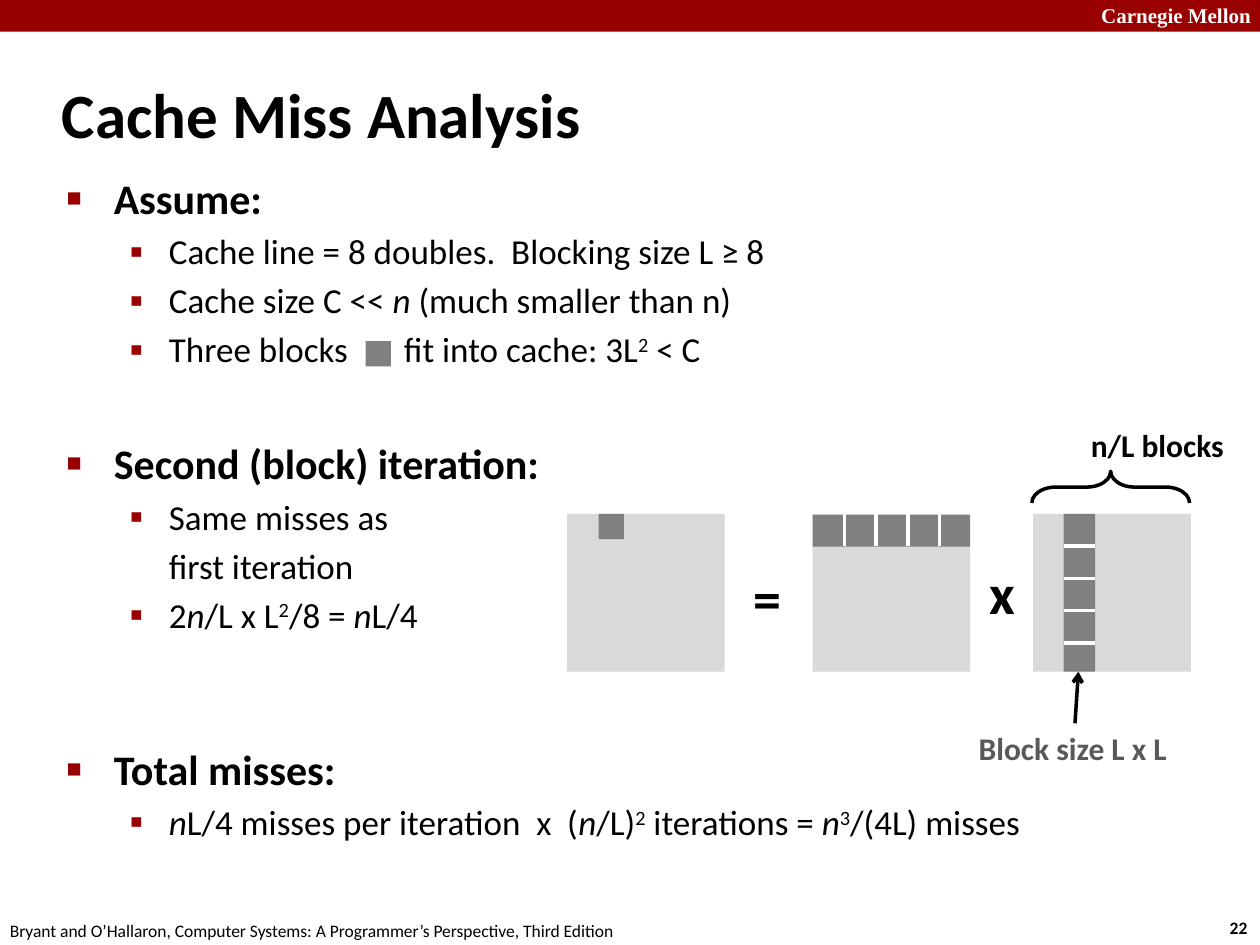
"""Build the cache miss analysis slide for blocked matrix multiplication."""
from dataclasses import dataclass

from lxml import etree
from pptx import Presentation
from pptx import util as u
from pptx.dml.color import RGBColor
from pptx.enum import shapes, text
from pptx.oxml.ns import qn

COLORS = {
    "black": "000000", "white": "FFFFFF", "crimson": "990000",
    "matrix": "D9D9D9", "block": "808080", "caption": "595959",
}
MATRIX_TOP, MATRIX_SIDE = 10.36, 3.18
RESULT_LEFT, ROWS_LEFT, COLUMNS_LEFT = 11.43, 16.38, 20.83
STRIP, SMALL_BLOCK, BLOCKS = 0.64, 0.51, 5
COLUMN_LEFT = 21.44


@dataclass(frozen=True)
class Box:
    left: float
    top: float
    width: float
    height: float

    def lengths(self) -> list:
        return [u.Cm(n) for n in (self.left, self.top, self.width, self.height)]


@dataclass(frozen=True)
class Label:
    wording: str
    box: Box
    size: float
    color: str = "black"
    bold: bool = True
    font: str = "Calibri"


@dataclass(frozen=True)
class Span:
    wording: str
    italic: bool = False
    raised: bool = False


@dataclass(frozen=True)
class Point:
    spans: tuple
    level: int = 1
    before: float = 4
    bullet: bool = True
    tab: float = 0


@dataclass(frozen=True)
class Level:
    bullet: str
    bullet_percent: int
    margin: float
    hanging: float
    size: int


N = Span("n", italic=True)
SQUARED = Span("2", raised=True)
LEVELS = (Level("■", 60, 0.95, 0.95, 24), Level("▪", 110, 2.06, 0.79, 20))
POINTS = (
    Point((Span("Assume:"),), 0, 0),
    Point((Span("Cache line = 8 doubles.  Blocking size L ≥ 8"),)),
    Point((Span("Cache size C << "), N, Span(" (much smaller than n)"))),
    Point((Span("Three blocks\tfit into cache: 3L"), SQUARED, Span(" < C")), tab=6.8),
    Point((Span("Second (block) iteration:"),), 0, 38.9),
    Point((Span("Same misses as"),)),
    Point((Span("first iteration"),), bullet=False),
    Point((Span("2"), N, Span("/L x L"), SQUARED, Span("/8 = "), N, Span("L/4"))),
    Point((Span("Total misses:"),), 0, 61.6),
    Point((N, Span("L/4 misses per iteration  x  ("), N, Span("/L)"), SQUARED,
           Span(" iterations = "), N, Span("3", raised=True), Span("/(4L) misses"))),
)
LABELS = (
    Label("Carnegie Mellon", Box(21.95, -0.08, 3.63, 0.76), 12, "white",
          font="Times New Roman"),
    Label("22", Box(24.54, 18.36, 0.94, 0.69), 10),
    Label("Bryant and O’Hallaron, Computer Systems: A Programmer’s Perspective, "
          "Third Edition", Box(-0.05, 18.42, 12.9, 0.69), 10, bold=False),
    Label("=", Box(14.94, 11.23, 1.09, 1.63), 32),
    Label("x", Box(19.69, 11.13, 1.04, 1.63), 32),
    Label("Block size L x L", Box(19.48, 14.58, 4.34, 1.02), 18, "caption"),
    Label("n/L blocks", Box(21.74, 8.46, 3.23, 1.02), 18),
)
FILLED = (
    (Box(0, 0, 25.4, 0.64), "crimson"),
    *((Box(left, MATRIX_TOP, MATRIX_SIDE, MATRIX_SIDE), "matrix")
      for left in (RESULT_LEFT, ROWS_LEFT, COLUMNS_LEFT)),
    (Box(RESULT_LEFT + STRIP, MATRIX_TOP, SMALL_BLOCK, SMALL_BLOCK), "block"),
    (Box(ROWS_LEFT, MATRIX_TOP + 0.02, MATRIX_SIDE, STRIP), "block"),
    (Box(COLUMN_LEFT, MATRIX_TOP, STRIP, MATRIX_SIDE), "block"),
    (Box(7.37, 6.88, SMALL_BLOCK, SMALL_BLOCK), "block"),
)


def rgb(name: str) -> RGBColor:
    return RGBColor.from_string(COLORS[name])


def style(font, size: float, color: str, bold: bool, name: str = "Calibri") -> None:
    font.name, font.size, font.bold = name, u.Pt(size), bold
    font.color.rgb = rgb(color)


def draw_filled(slide, box: Box, color: str) -> None:
    rectangle = slide.shapes.add_shape(shapes.MSO_SHAPE.RECTANGLE, *box.lengths())
    rectangle.shadow.inherit = False
    rectangle.fill.solid()
    rectangle.fill.fore_color.rgb = rgb(color)
    rectangle.line.fill.background()


def draw_label(slide, label: Label) -> None:
    frame = slide.shapes.add_textbox(*label.box.lengths()).text_frame
    frame.word_wrap = False
    paragraph = frame.paragraphs[0]
    paragraph.text = label.wording
    style(paragraph.font, label.size, label.color, label.bold, label.font)


def draw_line(slide, start: tuple, end: tuple, color: str, arrow: bool = False) -> None:
    line = slide.shapes.add_connector(
        shapes.MSO_CONNECTOR.STRAIGHT, *(u.Cm(n) for n in start + end))
    line.line.color.rgb = rgb(color)
    line.line.width = u.Pt(2)
    if arrow:
        etree.SubElement(line.line._get_or_add_ln(), qn("a:tailEnd"), type="arrow")
    etree.SubElement(line._element.spPr, qn("a:effectLst"))


def draw_brace(slide, box: Box) -> None:
    brace = slide.shapes.add_shape(shapes.MSO_SHAPE.LEFT_BRACE, *box.lengths())
    brace.shadow.inherit = False
    brace.rotation = 90
    brace.adjustments[0] = 0.75
    brace.fill.background()
    brace.line.color.rgb = rgb("black")
    brace.line.width = u.Pt(2)


def write_point(paragraph, point: Point) -> None:
    level = LEVELS[point.level]
    paragraph.level = point.level
    properties = paragraph._p.get_or_add_pPr()
    properties.set("marL", str(u.Cm(level.margin)))
    properties.set("indent", str(-u.Cm(level.hanging) if point.bullet else 0))
    if point.bullet:
        color = etree.SubElement(properties, qn("a:buClr"))
        etree.SubElement(color, qn("a:srgbClr"), val=COLORS["crimson"])
        etree.SubElement(properties, qn("a:buSzPct"), val=str(level.bullet_percent * 1000))
        etree.SubElement(properties, qn("a:buChar"), char=level.bullet)
    else:
        etree.SubElement(properties, qn("a:buNone"))
    if point.tab:
        tabs = etree.SubElement(properties, qn("a:tabLst"))
        etree.SubElement(tabs, qn("a:tab"), pos=str(u.Cm(point.tab)), algn="l")
    paragraph.space_before = u.Pt(point.before)
    style(paragraph.font, level.size, "black", point.level == 0)
    for span in point.spans:
        run = paragraph.add_run()
        run.text = span.wording
        if span.italic:
            run.font.italic = True
        if span.raised:
            run.font._element.set("baseline", "30000")


def main() -> None:
    deck = Presentation()
    deck.slide_width, deck.slide_height = u.Cm(25.4), u.Cm(19.05)
    slide = deck.slides.add_slide(deck.slide_layouts[1])
    title, body = slide.placeholders
    for holder, box in ((title, Box(0.99, 1.22, 21.08, 2.11)),
                        (body, Box(1.09, 3.35, 21.95, 14.83))):
        holder.left, holder.top, holder.width, holder.height = box.lengths()
        holder.text_frame.auto_size = text.MSO_AUTO_SIZE.NONE
    title.text_frame.vertical_anchor = text.MSO_ANCHOR.MIDDLE
    heading = title.text_frame.paragraphs[0]
    heading.text = "Cache Miss Analysis"
    heading.alignment = text.PP_ALIGN.LEFT
    style(heading.font, 36, "black", True)
    for index, point in enumerate(POINTS):
        frame = body.text_frame
        write_point(frame.add_paragraph() if index else frame.paragraphs[0], point)
    for box, color in FILLED:
        draw_filled(slide, box, color)
    for step in range(1, BLOCKS):
        x, y = ROWS_LEFT + 0.64 * step, MATRIX_TOP + 0.65 * step
        draw_line(slide, (x, MATRIX_TOP), (x, MATRIX_TOP + STRIP), "white")
        draw_line(slide, (COLUMN_LEFT, y), (COLUMN_LEFT + STRIP, y), "white")
    draw_line(slide, (21.67, 14.58), (21.74, 13.54), "black", arrow=True)
    draw_brace(slide, Box(22.07, 8.23, 0.64, MATRIX_SIDE))
    for label in LABELS:
        draw_label(slide, label)
    deck.save("out.pptx")


if __name__ == "__main__":
    main()
